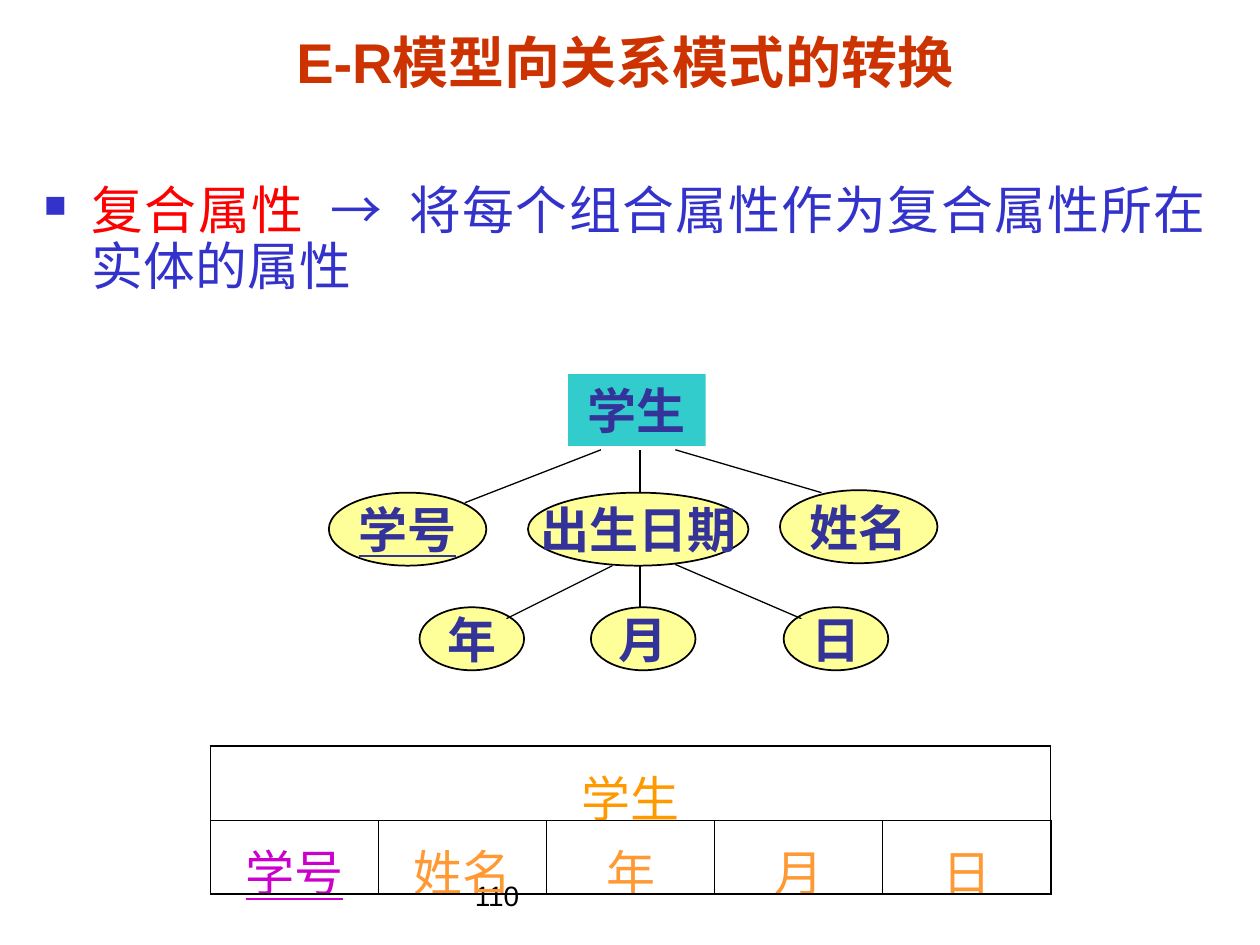
"""Build the slide on turning composite attributes into relational columns."""
from dataclasses import dataclass

from lxml import etree
from pptx import Presentation
from pptx.dml.color import RGBColor
from pptx.enum.shapes import MSO_CONNECTOR as CONN, MSO_SHAPE as SHAPE
from pptx.enum.text import MSO_ANCHOR as ANCHOR, PP_ALIGN as ALIGN
from pptx.oxml.ns import qn
from pptx.util import Inches, Pt

INK, BLUE, NAVY = "000000", "3333CC", "333399"
CYAN, CREAM = "33CCCC", "FFFF99"
INNER, OUTER = 0.45, 1.08


@dataclass
class Node:
    text: str
    x: float
    y: float
    w: float
    h: float
    underline: bool = False
    shape: int = SHAPE.OVAL


@dataclass
class Edge:
    x1: float
    y1: float
    x2: float
    y2: float


@dataclass
class Column:
    text: str
    color: str = "FF9933"
    underline: bool = False


NODES = [
    Node("学生", 4.51, 2.97, 1.09, 0.57, shape=SHAPE.RECTANGLE),
    Node("姓名", 6.19, 3.89, 1.25, 0.58),
    Node("学号", 2.61, 3.91, 1.25, 0.58, underline=True),
    Node("出生日期", 4.19, 3.91, 1.75, 0.58),
    *(Node(text, x, 4.82, 0.83, 0.5) for text, x in (("年", 3.33), ("月", 4.69), ("日", 6.22))),
]
EDGES = [
    Edge(5.08, 3.57, 5.08, 3.91),
    Edge(4.77, 3.57, 3.69, 3.99),
    Edge(5.36, 3.57, 6.52, 3.91),
    Edge(5.08, 4.49, 5.08, 4.82),
    Edge(4.86, 4.49, 4.02, 4.91),
    Edge(5.36, 4.48, 6.36, 4.91),
]
COLUMNS = [Column("学号", "CC00CC", True), *map(Column, ("姓名", "年", "月", "日"))]


def rgb(value: str) -> RGBColor:
    return RGBColor.from_string(value)


def add_run(p, text: str, color: str, **formats) -> None:
    r = p.add_run()
    r.text = text
    r.font.color.rgb = rgb(color)
    for name, value in formats.items():
        setattr(r.font, name, value)


def place(sp, x: float, y: float, w: float, h: float) -> None:
    box = dict(left=x, top=y, width=w, height=h)
    for name, value in box.items():
        setattr(sp, name, Inches(value))


def add_text_box(s, x: float, y: float, w: float, h: float):
    tf = s.shapes.add_textbox(*map(Inches, (x, y, w, h))).text_frame
    tf.word_wrap = True
    return tf.paragraphs[0]


def add_title(s, text: str) -> None:
    sp = s.shapes.title
    place(sp, 0.25, 0.13, 9.42, 0.67)
    sp.text_frame.vertical_anchor = ANCHOR.BOTTOM
    p = sp.text_frame.paragraphs[0]
    p.alignment = ALIGN.CENTER
    add_run(p, text, "CC3300", size=Pt(32), name="Arial", bold=True)


def add_rule(s) -> None:
    p = add_text_box(s, 0.25, 1.42, 9.42, 1.15)
    p.alignment, p.line_spacing = ALIGN.JUSTIFY, 0.9
    pPr = p._p.get_or_add_pPr()
    pPr.set("marL", str(Inches(0.38)))
    pPr.set("indent", str(-Inches(0.38)))
    color = etree.SubElement(pPr, qn("a:buClr"))
    etree.SubElement(color, qn("a:srgbClr"), val=BLUE)
    etree.SubElement(pPr, qn("a:buSzPct"), val="60000")
    etree.SubElement(pPr, qn("a:buChar"), char="■")
    for text, tint, font in (
        ("复合属性  ", "FF0000", "Cabin"),
        ("→", BLUE, "Arial"),
        ("  将每个组合属性作为复合属性所在实体的属性", BLUE, "Cabin"),
    ):
        add_run(p, text, tint, size=Pt(29.6), name=font)


def add_node(s, node: Node) -> None:
    sp = s.shapes.add_shape(node.shape, *map(Inches, (node.x, node.y, node.w, node.h)))
    sp.shadow.inherit = False
    sp.fill.solid()
    if node.shape == SHAPE.RECTANGLE:
        sp.fill.fore_color.rgb = rgb(CYAN)
        sp.line.fill.background()
    else:
        sp.fill.fore_color.rgb = rgb(CREAM)
        sp.line.color.rgb = rgb(INK)
        sp.line.width = Pt(1)
    tf = sp.text_frame
    tf.word_wrap, tf.vertical_anchor = False, ANCHOR.MIDDLE
    p = tf.paragraphs[0]
    p.alignment = ALIGN.CENTER
    add_run(p, node.text, NAVY, size=Pt(28), name="Times New Roman",
            bold=True, underline=node.underline)


def add_edge(s, edge: Edge) -> None:
    ends = map(Inches, (edge.x1, edge.y1, edge.x2, edge.y2))
    line = s.shapes.add_connector(CONN.STRAIGHT, *ends)
    line.line.color.rgb = rgb(INK)
    line.line.width = Pt(0.75)
    etree.SubElement(line._element.spPr, qn("a:effectLst"))


def set_borders(cell, widths: dict[str, float]) -> None:
    tcPr = cell._tc.get_or_add_tcPr()
    for i, (side, width) in enumerate(widths.items()):
        ln = etree.Element(qn(f"a:ln{side}"), w=str(Pt(width)))
        fill = etree.SubElement(ln, qn("a:solidFill"))
        etree.SubElement(fill, qn("a:srgbClr"), val=INK)
        tcPr.insert(i, ln)


def fill_cell(cell, column: Column) -> None:
    p = cell.text_frame.paragraphs[0]
    p.alignment = ALIGN.CENTER
    add_run(p, column.text, column.color, size=Pt(28), name="Cabin",
            underline=column.underline)


def add_relation(s, name: Column, columns: list[Column]) -> None:
    n = len(columns)
    frame = s.shapes.add_table(2, n, *map(Inches, (1.67, 5.92, 6.67, 1.14)))
    table = frame.table
    table.first_row = table.horz_banding = False
    for r in range(2):
        for c in range(n):
            cell = table.cell(r, c)
            cell.fill.background()
            cell.margin_top, cell.margin_bottom = Inches(0.12), 0
            set_borders(cell, {
                "L": OUTER if c == 0 else INNER,
                "R": OUTER if c == n - 1 else INNER,
                "T": OUTER if r == 0 else INNER,
                "B": OUTER if r == 1 else INNER,
            })
    table.cell(0, 0).merge(table.cell(0, n - 1))
    fill_cell(table.cell(0, 0), name)
    for c, column in enumerate(columns):
        fill_cell(table.cell(1, c), column)


def main() -> None:
    prs = Presentation()
    prs.slide_width, prs.slide_height = Inches(10), Inches(7.5)
    s = prs.slides.add_slide(prs.slide_layouts[5])
    add_run(add_text_box(s, 3.67, 6.92, 3.17, 0.5), "110", INK, size=Pt(16), name="Arial")
    add_title(s, "E-R模型向关系模式的转换")
    add_rule(s)
    for node in NODES:
        add_node(s, node)
    for edge in EDGES:
        add_edge(s, edge)
    add_relation(s, Column("学生", "FF9900"), COLUMNS)
    prs.save("out.pptx")


if __name__ == "__main__":
    main()
